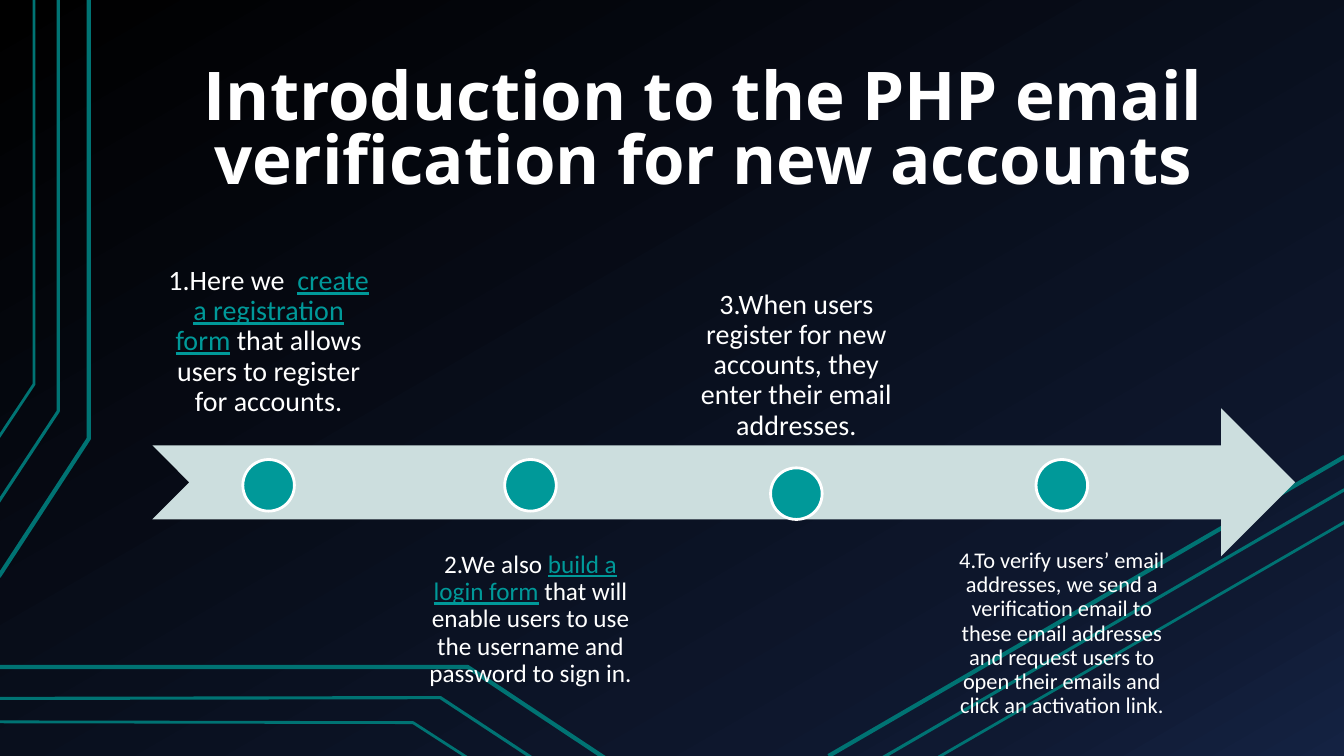
from copy import deepcopy

from lxml.etree import SubElement
from pptx import Presentation
from pptx.dml.color import RGBColor
from pptx.enum.shapes import MSO_CONNECTOR, MSO_SHAPE
from pptx.enum.text import MSO_ANCHOR, PP_ALIGN
from pptx.oxml.ns import qn
from pptx.util import Cm, Pt

BLACK = RGBColor(0x00, 0x00, 0x00)
NAVY = RGBColor(0x0F, 0x19, 0x31)
BLUE = RGBColor(0x14, 0x22, 0x42)
TRACE = RGBColor(0x00, 0x73, 0x73)
TEAL = RGBColor(0x00, 0x99, 0x99)
PALE = RGBColor(0xCC, 0xDE, 0xDE)
WHITE = RGBColor(0xFF, 0xFF, 0xFF)

deck = Presentation()
deck.slide_width, deck.slide_height = Cm(33.87), Cm(19.05)
page = deck.slides.add_slide(deck.slide_layouts[6])


def add_text(parts, left, top, width, height, size, font="Calibri", bold=False,
             anchor=MSO_ANCHOR.TOP, spacing=0.9, inset=0.33, inset_top=0.33,
             inset_bottom=0.33):
    box = page.shapes.add_textbox(Cm(left), Cm(top), Cm(width), Cm(height))
    frame = box.text_frame
    frame.word_wrap = True
    frame.vertical_anchor = anchor
    frame.margin_left = frame.margin_right = Cm(inset)
    frame.margin_top, frame.margin_bottom = Cm(inset_top), Cm(inset_bottom)
    para = frame.paragraphs[0]
    para.alignment = PP_ALIGN.CENTER
    para.line_spacing = spacing
    for text, linked in parts:
        span = para.add_run()
        span.text = text
        span.font.name = font
        span.font.size = Pt(size)
        span.font.bold = bold
        span.font.underline = linked
        span.font.color.rgb = TEAL if linked else WHITE


backdrop = page.background.fill
backdrop.gradient()
backdrop.gradient_angle = 300
stop_list = page.element.find(".//" + qn("a:gsLst"))
stop_list.append(deepcopy(stop_list[-1]))
for stop, (position, color) in zip(
        backdrop.gradient_stops, [(0, BLACK), (0.85, NAVY), (1, BLUE)]):
    stop.position = position
    stop.color.rgb = color

trace_widths = [3, 2.25, 2]
left_traces = [
    [(-0.03, 14.53), (2.24, 11.05), (2.24, 0)],
    [(-0.05, 12.67), (1.47, 10.36), (1.47, 0)],
    [(-0.03, 11.02), (0.86, 9.68), (0.86, 0)],
]
right_traces = [
    [(20.88, 19.05), (33.88, 11.51)],
    [(22.23, 19.1), (33.88, 12.34)],
    [(23.65, 19.08), (33.88, 13.16)],
]
bottom_traces = [
    [(15.24, 19.1), (11.79, 16.81), (0, 16.81)],
    [(13.41, 19.1), (11.1, 17.58), (0, 17.6)],
    [(11.76, 19.08), (10.41, 18.21), (-0.03, 18.19)],
]
for traces in (left_traces, right_traces, bottom_traces):
    for points, width in zip(traces, trace_widths):
        corners = [(Cm(x), Cm(y)) for x, y in points]
        if len(corners) == 2:
            trace = page.shapes.add_connector(
                MSO_CONNECTOR.STRAIGHT, *corners[0], *corners[1])
            SubElement(trace.element.spPr, qn("a:effectLst"))
        else:
            builder = page.shapes.build_freeform(*corners[0])
            builder.add_line_segments(corners[1:], close=False)
            trace = builder.convert_to_shape()
            trace.fill.background()
            trace.shadow.inherit = False
        trace.line.color.rgb = TRACE
        trace.line.width = Pt(width)

add_text([("Introduction to the PHP email verification for new accounts", False)],
         4.52, 0.74, 26.42, 6.55, size=48, font="Open Sans", bold=True,
         anchor=MSO_ANCHOR.BOTTOM, spacing=0.8, inset_top=0.18, inset_bottom=2.31)

arrow = page.shapes.add_shape(
    MSO_SHAPE.NOTCHED_RIGHT_ARROW, Cm(3.84), Cm(10.29), Cm(28.8), Cm(3.73))
arrow.fill.solid()
arrow.fill.fore_color.rgb = PALE
arrow.line.fill.background()
arrow.shadow.inherit = False

ABOVE, BELOW = MSO_ANCHOR.BOTTOM, MSO_ANCHOR.TOP
dot_size = 1.3
steps = [
    (6.77, 11.58, 5.72, 6.27, 5.21, 20, 0.41, ABOVE,
     [("1.Here we \u00a0", False), ("create a registration form", True),
      ("\u00a0that allows users to register for accounts.", False)]),
    (13.37, 11.58, 13.54, 6.27, 5.21, 18, 0.36, BELOW,
     [("2.We also ", False), ("build a login form", True),
      ("\u00a0that will enable users to use the username and password to sign in.",
       False)]),
    (20.07, 11.79, 5.54, 6.5, 5.99, 20, 0.41, ABOVE,
     [("3.When users register for new accounts, they enter their email addresses.",
       False)]),
    (26.76, 11.58, 13.54, 6.27, 5.21, 16, 0.3, BELOW,
     [("4.To verify users\u2019 email addresses, we send a verification email to "
       "these email addresses and request users to open their emails and click "
       "an activation link.", False)]),
]
for center, dot_top, top, width, height, size, inset, anchor, parts in steps:
    add_text(parts, center - width / 2, top, width, height, size=size,
             anchor=anchor, inset=inset, inset_top=inset, inset_bottom=inset)
    dot = page.shapes.add_shape(
        MSO_SHAPE.OVAL, Cm(center - dot_size / 2), Cm(dot_top),
        Cm(dot_size), Cm(dot_size))
    dot.fill.solid()
    dot.fill.fore_color.rgb = TEAL
    dot.line.color.rgb = WHITE
    dot.line.width = Pt(2)
    dot.shadow.inherit = False

deck.save("out.pptx")
